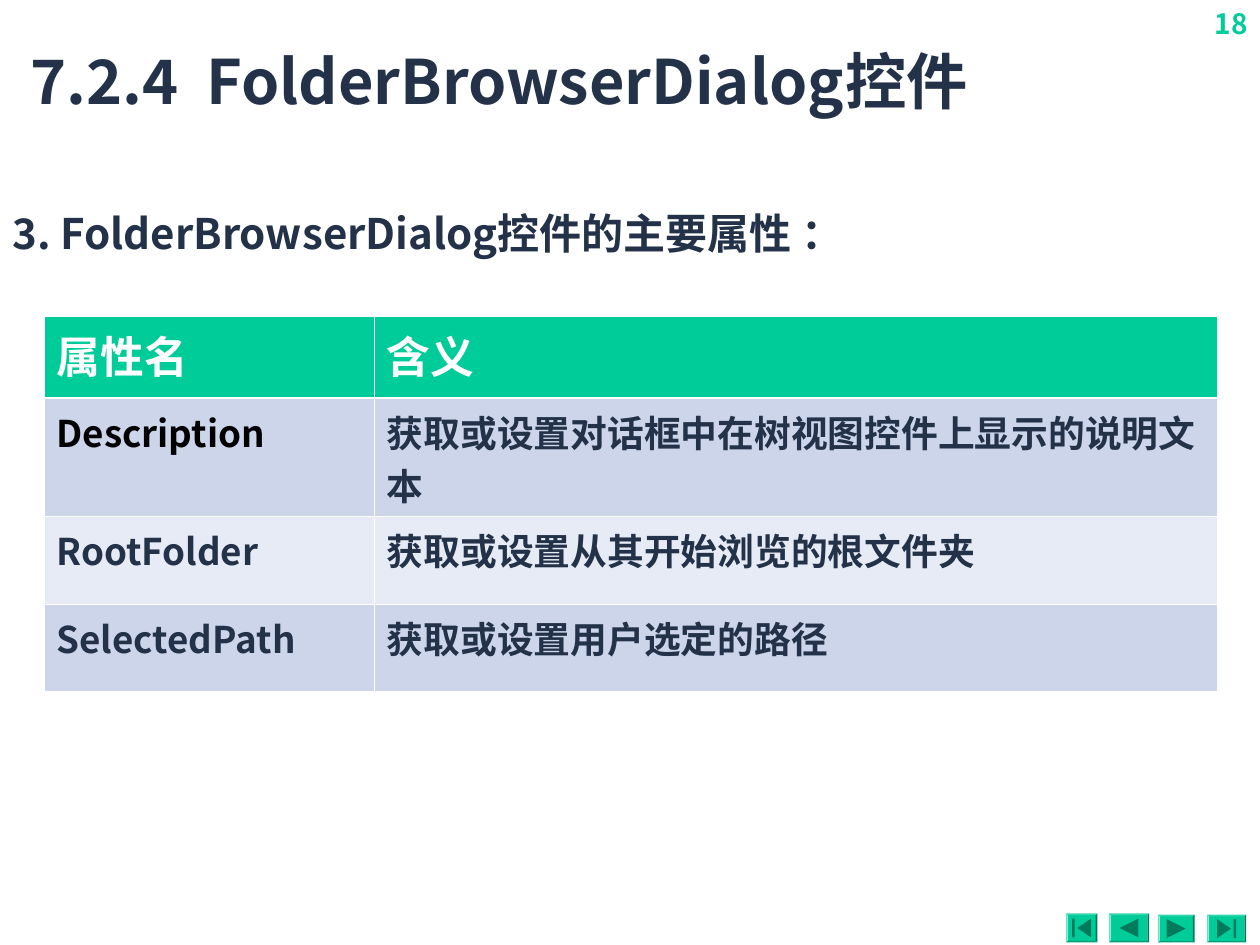
import lxml.etree
import pptx
import pptx.dml.color
import pptx.enum.shapes
import pptx.enum.text
import pptx.oxml.ns
import pptx.util

THEME = {
    "navy": "233249", "green": "00CC99", "dark green": "007A5C",
    "white": "FFFFFF", "black": "000000", "bands": ("CCD5EA", "E7EBF5"),
    "font": "Noto Sans CJK SC", "number font": "Noto Sans CJK KR",
    "title": 35, "heading": 24, "table head": 25, "table body": 21, "number": 16,
}
rgb = pptx.dml.color.RGBColor.from_string
qn = pptx.oxml.ns.qn

presentation = pptx.Presentation()
presentation.slide_width = pptx.util.Inches(10)
presentation.slide_height = pptx.util.Inches(7.5)
unit = presentation.slide_width // 100  # grid of 100 columns by 75 rows
slide = presentation.slides.add_slide(presentation.slide_layouts[1])


def grid(*cells):
    return [round(cell * unit) for cell in cells]


def write(frame, text, size, color, font="font"):
    frame.word_wrap = True
    paragraph = frame.paragraphs[0]
    paragraph.text = text
    paragraph.alignment = pptx.enum.text.PP_ALIGN.LEFT
    paragraph.font.size = pptx.util.Pt(THEME[size])
    paragraph.font.bold = True
    paragraph.font.color.rgb = rgb(THEME[color])
    paragraph.font.name = THEME[font]
    character = paragraph._p.pPr.find(qn("a:defRPr"))
    lxml.etree.SubElement(character, qn("a:ea"), typeface=THEME[font])
    return paragraph


# Page number
number = slide.shapes.add_textbox(*grid(93.5, 0, 6.5, 4))
paragraph = write(number.text_frame, "18", "number", "green", "number font")
paragraph.alignment = pptx.enum.text.PP_ALIGN.RIGHT
paragraph.space_before = pptx.util.Pt(10)

# Navigation buttons: left, top, width, height, direction, end bar
buttons = [
    (84.6, 72.5, 2.5, 2.3, -1, True),
    (88, 72.5, 3.2, 2.3, -1, False),
    (91.9, 72.6, 2.9, 2.2, 1, False),
    (95.8, 72.6, 3.1, 2.2, 1, True),
]
for left, top, width, height, direction, has_bar in buttons:
    button = slide.shapes.add_shape(
        pptx.enum.shapes.MSO_SHAPE.BEVEL, *grid(left, top, width, height))
    button.adjustments[0] = 0.06
    center, middle = left + width / 2, top + height / 2
    base = center - 0.75 * direction
    tip = center + (0.35 if has_bar else 0.75) * direction
    outline = slide.shapes.build_freeform(*grid(base, middle - 0.75))
    outline.add_line_segments([grid(tip, middle), grid(base, middle + 0.75)])
    if has_bar:
        inner, outer = center + 0.55 * direction, center + 0.75 * direction
        outline.move_to(*grid(inner, middle - 0.75))
        outline.add_line_segments([grid(outer, middle - 0.75),
                                   grid(outer, middle + 0.75),
                                   grid(inner, middle + 0.75)])
    icon = outline.convert_to_shape()
    for shape, color in ((button, "green"), (icon, "dark green")):
        shape.shadow.inherit = False
        shape.fill.solid()
        shape.fill.fore_color.rgb = rgb(THEME[color])
        shape.line.fill.background()

# Title
title = slide.shapes.title
title.left, title.top, title.width, title.height = grid(2.4, 0, 97.6, 9.3)
frame = title.text_frame
frame.auto_size = pptx.enum.text.MSO_AUTO_SIZE.NONE
frame.vertical_anchor = pptx.enum.text.MSO_ANCHOR.BOTTOM
frame.margin_left = frame.margin_right = frame.margin_bottom = 0
write(frame, "7.2.4  FolderBrowserDialog控件", "title", "navy")

# Section heading
heading = slide.placeholders[1]
heading.left, heading.top, heading.width, heading.height = grid(0, 14.8, 91.4, 6.3)
heading.text_frame.auto_size = pptx.enum.text.MSO_AUTO_SIZE.NONE
paragraph = write(heading.text_frame, "3. FolderBrowserDialog控件的主要属性 ：",
                  "heading", "navy")
paragraph.line_spacing = 1.3
paragraph.space_before = pptx.util.Pt(6)
properties = paragraph._p.pPr
properties.set("marL", str(grid(5.8)[0]))
properties.set("indent", str(grid(-5.8)[0]))
properties.find(qn("a:defRPr")).addprevious(
    properties.makeelement(qn("a:buNone")))

# Property table: the second row holds two lines of text
rows = [
    ("属性名", "含义"),
    ("Description", "获取或设置对话框中在树视图控件上显示的说明文本"),
    ("RootFolder", "获取或设置从其开始浏览的根文件夹"),
    ("SelectedPath", "获取或设置用户选定的路径"),
]
row_heights = (6.5, 9.4, 7, 6.9)
table = slide.shapes.add_table(
    len(rows), 2, *grid(3.5, 25.1, 93.1, sum(row_heights))).table
for column, width in zip(table.columns, grid(26.2, 66.9)):
    column.width = width
for row, height in zip(table.rows, grid(*row_heights)):
    row.height = height

for row_index, texts in enumerate(rows):
    for column_index, text in enumerate(texts):
        cell = table.cell(row_index, column_index)
        is_head = row_index == 0
        # White rules, heavier below the head row
        heavy_edge = {0: "lnB", 1: "lnT"}.get(row_index)
        for edge in ("lnL", "lnR", "lnT", "lnB"):
            points = 1.47 if edge == heavy_edge else 0.45
            border = lxml.etree.SubElement(
                cell._tc.get_or_add_tcPr(), qn("a:" + edge),
                w=str(pptx.util.Pt(points)))
            fill = lxml.etree.SubElement(border, qn("a:solidFill"))
            lxml.etree.SubElement(fill, qn("a:srgbClr"), val=THEME["white"])
        band = THEME["green"] if is_head else THEME["bands"][(row_index - 1) % 2]
        cell.fill.solid()
        cell.fill.fore_color.rgb = rgb(band)
        color = ("white" if is_head
                 else "black" if text == "Description" else "navy")
        write(cell.text_frame, text, "table head" if is_head else "table body", color)

presentation.save("out.pptx")
